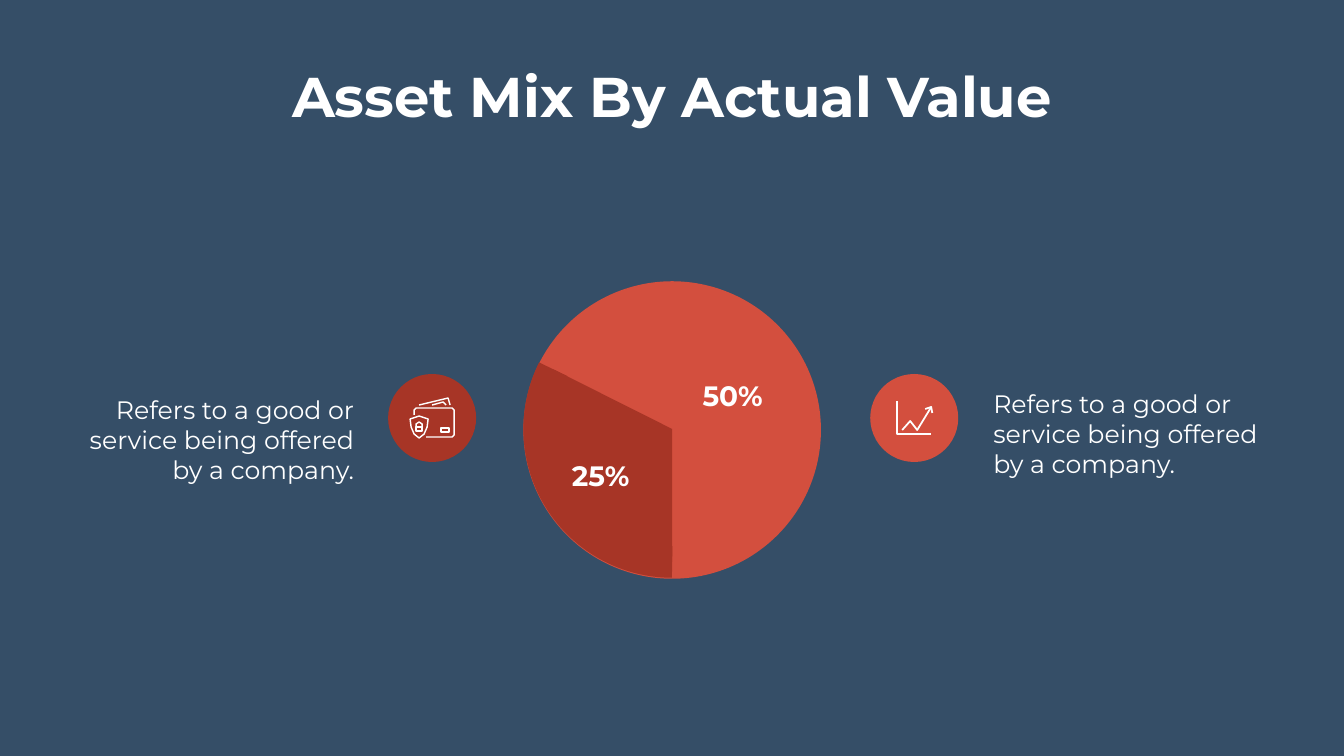
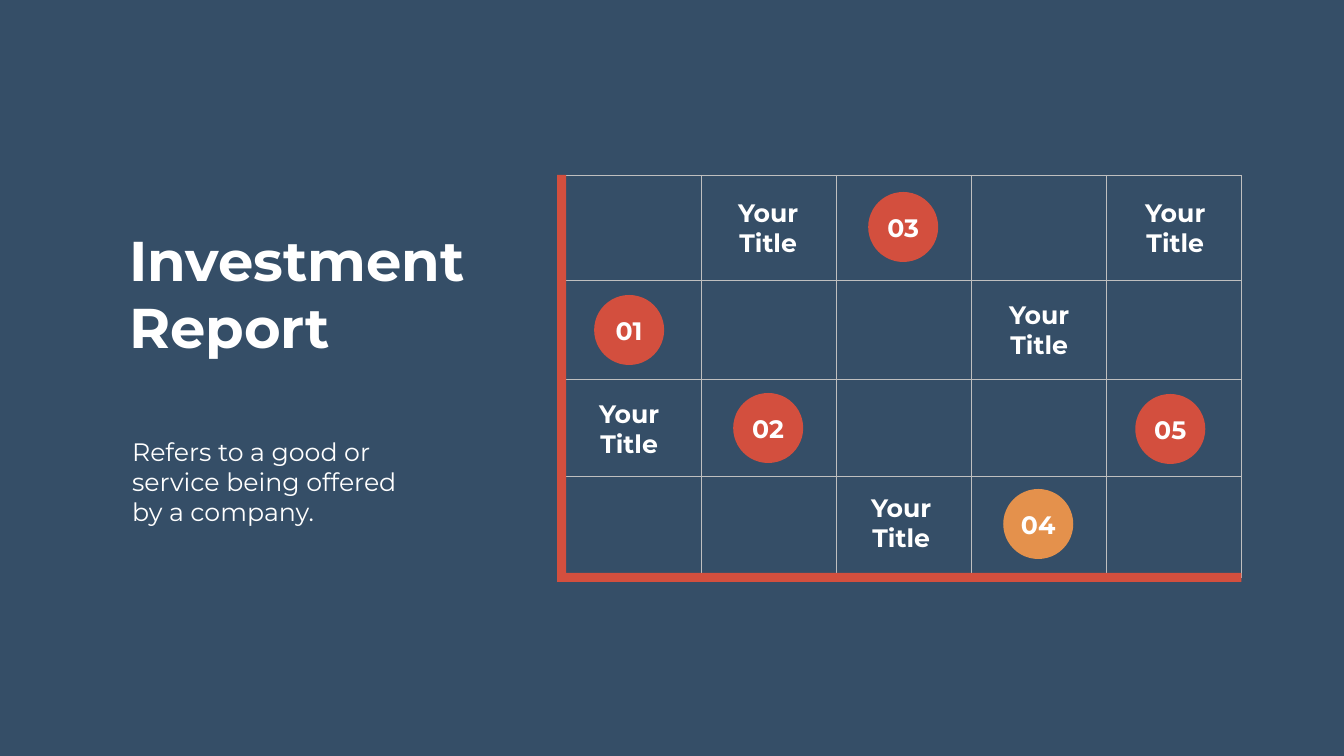
"""Builds two investment slides: an asset mix pie and a report grid."""
from dataclasses import dataclass
from typing import Optional

from lxml.etree import SubElement
from pptx import Presentation
from pptx.dml.color import RGBColor
from pptx.enum.shapes import MSO_CONNECTOR, MSO_SHAPE
from pptx.enum.text import MSO_ANCHOR, MSO_AUTO_SIZE, PP_ALIGN
from pptx.oxml.ns import qn
from pptx.shapes.autoshape import Shape
from pptx.slide import Slide
from pptx.text.text import TextFrame
from pptx.util import Emu, Inches, Pt

PIXEL = 914400 / 50.4
FONT = "Montserrat"
NAVY = RGBColor(0x35, 0x4E, 0x67)
RED = RGBColor(0xD3, 0x4F, 0x3E)
DARK_RED = RGBColor(0xA7, 0x35, 0x26)
ORANGE = RGBColor(0xE4, 0x91, 0x4C)
GREY = RGBColor(0xBF, 0xBF, 0xBF)
WHITE = RGBColor(0xFF, 0xFF, 0xFF)

TITLE_SIZE, PERCENT_SIZE, TEXT_SIZE = 80, 40, 36
DESCRIPTION = "Refers to a good or service being offered by a company."


@dataclass(frozen=True)
class Area:
    left: int
    top: int
    width: int
    height: int

    def emu(self) -> tuple[Emu, ...]:
        return tuple(px(n) for n in (self.left, self.top, self.width, self.height))


@dataclass(frozen=True)
class Stroke:
    points: tuple[tuple[int, int], ...]
    closed: bool = False


@dataclass(frozen=True)
class Asset:
    percent: str
    percent_area: Area
    text_area: Area
    align: PP_ALIGN
    badge_left: int
    color: RGBColor
    icon: tuple[Stroke, ...]
    icon_width: float


@dataclass(frozen=True)
class Step:
    number: str
    circle: tuple[int, int]
    label: tuple[int, int]
    color: RGBColor = RED


CHART_ICON = (
    Stroke(((897, 401), (897, 434), (931, 434))),
    Stroke(((902, 430), (910, 421), (917, 430), (931, 407))),
    Stroke(((925, 409), (931, 407), (932, 413))),
)
CARD_ICON = (
    Stroke(((414, 415), (414, 410), (416, 408), (452, 408), (454, 410),
            (454, 435), (452, 437), (426, 437))),
    Stroke(((441, 428), (449, 428), (449, 432), (441, 432)), True),
    Stroke(((419, 405), (448, 398), (450, 405))),
    Stroke(((432, 405), (443, 402), (446, 405))),
    Stroke(((419, 416), (428, 419), (427, 427), (424, 434), (419, 438),
            (414, 434), (411, 427), (410, 419)), True),
    Stroke(((416, 427), (422, 427), (422, 431), (416, 431)), True),
    Stroke(((416, 427), (416, 424), (419, 422), (422, 424), (422, 427))),
)
ASSETS = (
    Asset("50%", Area(678, 376, 109, 37), Area(981, 382, 296, 103),
          PP_ALIGN.LEFT, 870, RED, CHART_ICON, 2.5),
    Asset("25%", Area(546, 456, 109, 37), Area(60, 388, 306, 103),
          PP_ALIGN.RIGHT, 388, DARK_RED, CARD_ICON, 2),
)
STEPS = (
    Step("01", (594, 295), (589, 396)),
    Step("02", (733, 393), (728, 195)),
    Step("03", (868, 192), (861, 490)),
    Step("04", (1003, 489), (999, 297), ORANGE),
    Step("05", (1135, 394), (1135, 195)),
)

GRID_LEFT, GRID_TOP, GRID_RIGHT, GRID_BOTTOM = 561, 175, 1241, 578
COLUMN_LINES = range(701, GRID_RIGHT + 1, 135)
ROW_LINES = (GRID_TOP, 280, 379, 476)
AXIS_BARS = (Area(557, 573, 684, 9), Area(557, 175, 9, 407))


def px(length: float) -> Emu:
    """Turn pixels into EMU."""
    return Emu(round(length * PIXEL))


def write(frame: TextFrame, text: str, size: int, align: PP_ALIGN, bold: bool = True) -> None:
    """Fill a text frame with one white paragraph."""
    frame.word_wrap = True
    frame.auto_size = MSO_AUTO_SIZE.NONE
    frame.text = text
    paragraph = frame.paragraphs[0]
    paragraph.alignment = align
    paragraph.font.name = FONT
    paragraph.font.size = Pt(size)
    paragraph.font.bold = bold
    paragraph.font.color.rgb = WHITE


def place(shape: Shape, area: Area) -> None:
    """Move a placeholder to an area."""
    shape.left, shape.top, shape.width, shape.height = area.emu()


def set_title(page: Slide, text: str, area: Area, align: PP_ALIGN) -> None:
    """Fill the title placeholder."""
    title = page.shapes.title
    place(title, area)
    write(title.text_frame, text, TITLE_SIZE, align)


def set_description(page: Slide, index: int, area: Area, align: PP_ALIGN,
                    spacing: Optional[Pt] = None) -> None:
    """Fill a body placeholder with the unbulleted description."""
    body = page.placeholders[index]
    place(body, area)
    frame = body.text_frame
    write(frame, DESCRIPTION, TEXT_SIZE, align, bold=False)
    frame.margin_left = frame.margin_right = px(12)
    frame.margin_top = frame.margin_bottom = px(6)
    paragraph = frame.paragraphs[0]
    paragraph.line_spacing = spacing
    properties = paragraph._p.get_or_add_pPr()
    properties.set("marL", "0")
    properties.set("indent", "0")
    SubElement(properties, qn("a:buNone"))


def add_text(page: Slide, text: str, area: Area, size: int) -> None:
    """Add a centred bold text box."""
    box = page.shapes.add_textbox(*area.emu())
    write(box.text_frame, text, size, PP_ALIGN.CENTER)


def add_solid(page: Slide, kind: MSO_SHAPE, area: Area, color: RGBColor,
              line_width: float = 0) -> Shape:
    """Add a preset shape in one colour, outlined if a width is given."""
    shape = page.shapes.add_shape(kind, *area.emu())
    shape.shadow.inherit = False
    shape.fill.solid()
    shape.fill.fore_color.rgb = color
    if line_width:
        shape.line.color.rgb = color
        shape.line.width = Pt(line_width)
    else:
        shape.line.fill.background()
    return shape


def add_line(page: Slide, start: tuple[int, int], end: tuple[int, int]) -> None:
    """Add a thin grid line."""
    line = page.shapes.add_connector(
        MSO_CONNECTOR.STRAIGHT, *(px(n) for n in (*start, *end)))
    line.line.color.rgb = GREY
    line.line.width = Pt(0.5)
    SubElement(line._element.spPr, qn("a:effectLst"))


def add_stroke(page: Slide, stroke: Stroke, width: float) -> None:
    """Add one white stroke of an icon."""
    first, *others = stroke.points
    builder = page.shapes.build_freeform(*first, scale=PIXEL)
    builder.add_line_segments(others, close=stroke.closed)
    shape = builder.convert_to_shape()
    shape.shadow.inherit = False
    shape.fill.background()
    shape.line.color.rgb = WHITE
    shape.line.width = Pt(width)
    SubElement(shape.line._get_or_add_ln(), qn("a:round"))


def build_asset_mix(page: Slide) -> None:
    """Draw the pie with a badge and description on each side."""
    set_title(page, "Asset Mix By Actual Value", Area(124, 59, 1096, 73), PP_ALIGN.CENTER)
    add_solid(page, MSO_SHAPE.OVAL, Area(539, 297, 266, 266), RED, 45)
    sector = add_solid(page, MSO_SHAPE.ARC, Area(539, 296, 266, 266), DARK_RED, 45)
    sector.adjustments[0], sector.adjustments[1] = 54, 124
    for index, asset in enumerate(ASSETS, start=1):
        add_text(page, asset.percent, asset.percent_area, PERCENT_SIZE)
        set_description(page, index, asset.text_area, asset.align, Pt(43))
        add_solid(page, MSO_SHAPE.OVAL, Area(asset.badge_left, 374, 88, 88), asset.color)
        for stroke in asset.icon:
            add_stroke(page, stroke, asset.icon_width)


def build_report(page: Slide) -> None:
    """Draw the grid with its numbered steps."""
    set_title(page, "Investment Report", Area(124, 222, 374, 141), PP_ALIGN.LEFT)
    set_description(page, 1, Area(120, 430, 303, 104), PP_ALIGN.LEFT)
    for x in COLUMN_LINES:
        add_line(page, (x, GRID_TOP), (x, GRID_BOTTOM))
    for y in ROW_LINES:
        add_line(page, (GRID_LEFT, y), (GRID_RIGHT, y))
    for bar in AXIS_BARS:
        add_solid(page, MSO_SHAPE.RECTANGLE, bar, RED)
    for step in STEPS:
        circle = add_solid(page, MSO_SHAPE.OVAL, Area(*step.circle, 70, 70), step.color)
        frame = circle.text_frame
        write(frame, step.number, TEXT_SIZE, PP_ALIGN.CENTER)
        frame.vertical_anchor = MSO_ANCHOR.MIDDLE
        frame.margin_left = frame.margin_right = 0
        frame.margin_top = frame.margin_bottom = 0
        add_text(page, "Your Title", Area(*step.label, 80, 66), TEXT_SIZE)


def main() -> None:
    """Build and save the deck."""
    deck = Presentation()
    deck.slide_width, deck.slide_height = Inches(26.66), Inches(15)
    background = deck.slide_master.background.fill
    background.solid()
    background.fore_color.rgb = NAVY
    layouts = deck.slide_layouts
    build_asset_mix(deck.slides.add_slide(layouts.get_by_name("Two Content")))
    build_report(deck.slides.add_slide(layouts.get_by_name("Title and Content")))
    deck.save("out.pptx")


main()
